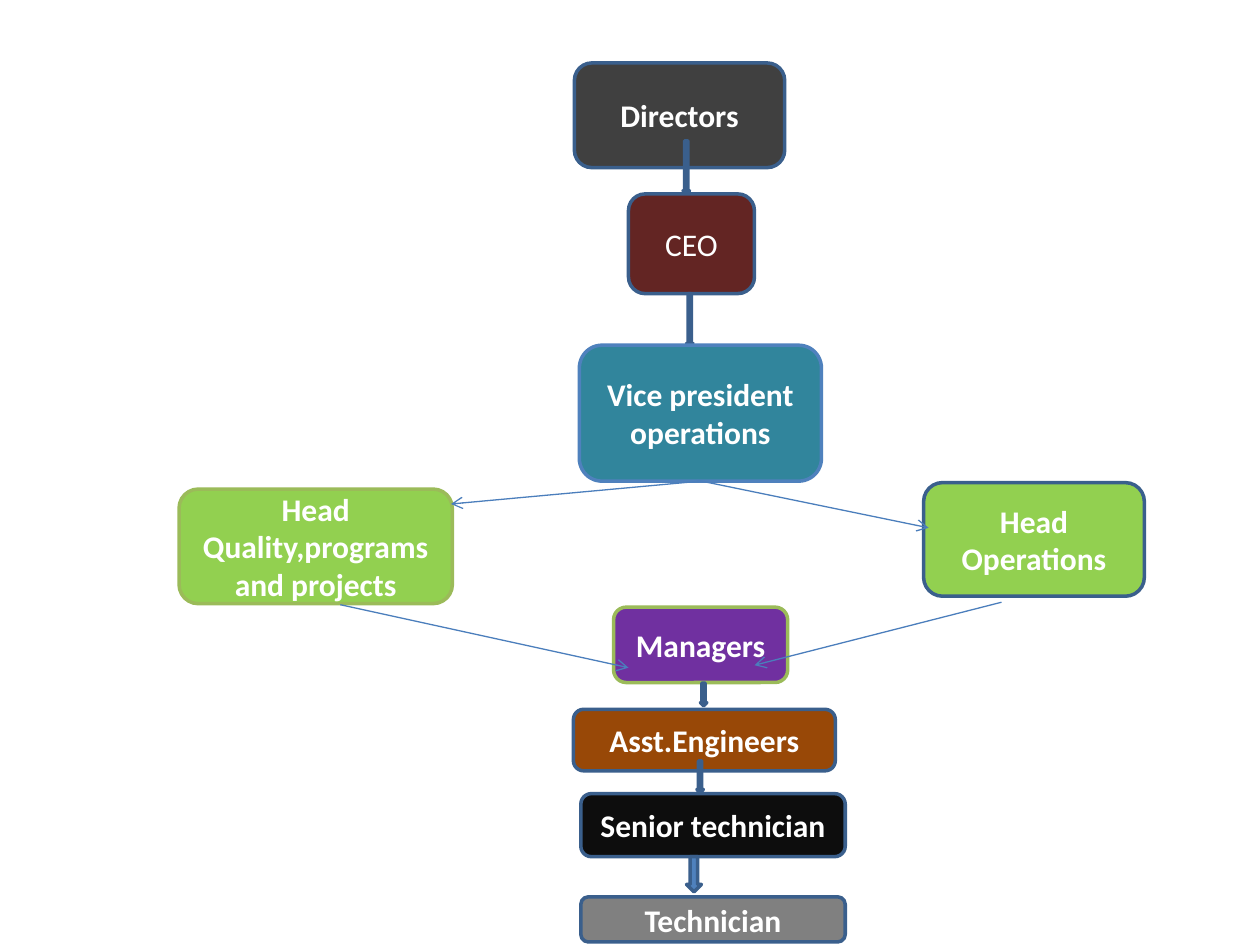
from dataclasses import dataclass

from lxml.etree import SubElement
from pptx import Presentation
from pptx.dml.color import RGBColor
from pptx.enum.shapes import MSO_CONNECTOR, MSO_SHAPE
from pptx.enum.text import MSO_ANCHOR, PP_ALIGN
from pptx.oxml.ns import qn
from pptx.util import Cm, Pt

HUES = {
    "white": "FFFFFF",
    "navy": "3A5F8C",
    "blue": "4F81BD",
    "link": "4B7EBC",
    "olive": "9BBB59",
    "gray": "404040",
    "maroon": "632523",
    "teal": "31859C",
    "green": "92D050",
    "purple": "7030A0",
    "brown": "984807",
    "black": "0D0D0D",
    "silver": "808080",
}


@dataclass
class Role:
    text: str
    left: float
    top: float
    width: float
    height: float
    fill: str
    edge: str = "navy"
    bold: bool = True


@dataclass
class Arrow:
    left: float
    top: float
    height: float
    width: float = 0.13


@dataclass
class Link:
    x1: float
    y1: float
    x2: float
    y2: float


CHART = [
    Role("Directors", 11.58, 1.27, 4.24, 2.11, "gray"),
    Arrow(13.77, 2.84, 1.07),
    Role("CEO", 12.67, 3.91, 2.54, 2.01, "maroon", bold=False),
    Arrow(13.84, 5.92, 1.07),
    Role("Vice president operations", 11.68, 6.96, 4.88, 2.74, "teal", "blue"),
    Role("Head Quality,programs and projects", 3.61, 9.86, 5.51, 2.31, "green", "olive"),
    Role("Head Operations", 18.62, 9.73, 4.45, 2.29, "green"),
    Role("Managers", 12.37, 12.24, 3.51, 1.52, "purple", "olive"),
    Link(6.86, 12.19, 12.67, 13.46),
    Link(20.19, 12.14, 15.21, 13.41),
    Arrow(14.12, 13.77, 0.46),
    Role("Asst.Engineers", 11.56, 14.3, 5.28, 1.24, "brown"),
    Role("Senior technician", 11.71, 16, 5.33, 1.27, "black"),
    Arrow(14.05, 15.34, 0.64),
    Arrow(13.84, 17.27, 0.71, 0.3),
    Role("Technician", 11.71, 18.08, 5.33, 0.91, "silver"),
    Link(14.12, 9.7, 9.09, 10.16),
    Link(14.05, 9.68, 18.72, 10.64),
]


def hue(name: str) -> RGBColor:
    return RGBColor.from_string(HUES[name])


def add_shape(slide, kind, item: Role | Arrow, fill: str, edge: str):
    shape = slide.shapes.add_shape(
        kind, Cm(item.left), Cm(item.top), Cm(item.width), Cm(item.height)
    )
    shape.shadow.inherit = False
    shape.fill.solid()
    shape.fill.fore_color.rgb = hue(fill)
    shape.line.color.rgb = hue(edge)
    shape.line.width = Pt(2)
    return shape


def draw_role(slide, role: Role) -> None:
    shape = add_shape(slide, MSO_SHAPE.ROUNDED_RECTANGLE, role, role.fill, role.edge)
    frame = shape.text_frame
    frame.word_wrap = True
    frame.vertical_anchor = MSO_ANCHOR.MIDDLE
    frame.text = role.text
    para = frame.paragraphs[0]
    para.alignment = PP_ALIGN.CENTER
    font = para.runs[0].font
    font.name = "Calibri"
    font.size = Pt(18)
    font.bold = role.bold
    font.color.rgb = hue("white")


def draw_arrow(slide, arrow: Arrow) -> None:
    add_shape(slide, MSO_SHAPE.DOWN_ARROW, arrow, "blue", "navy")


def draw_link(slide, link: Link) -> None:
    line = slide.shapes.add_connector(
        MSO_CONNECTOR.STRAIGHT, Cm(link.x1), Cm(link.y1), Cm(link.x2), Cm(link.y2)
    )
    line.line.color.rgb = hue("link")
    line.line.width = Pt(0.75)
    props = line._element.spPr
    SubElement(props.find(qn("a:ln")), qn("a:tailEnd"), type="arrow")
    SubElement(props, qn("a:effectLst"))


def main() -> None:
    deck = Presentation()
    deck.slide_width = Cm(25.4)
    deck.slide_height = Cm(19.05)
    slide = deck.slides.add_slide(deck.slide_layouts[6])
    tools = {Role: draw_role, Arrow: draw_arrow, Link: draw_link}
    for item in CHART:
        tools[type(item)](slide, item)
    deck.save("out.pptx")


if __name__ == "__main__":
    main()
